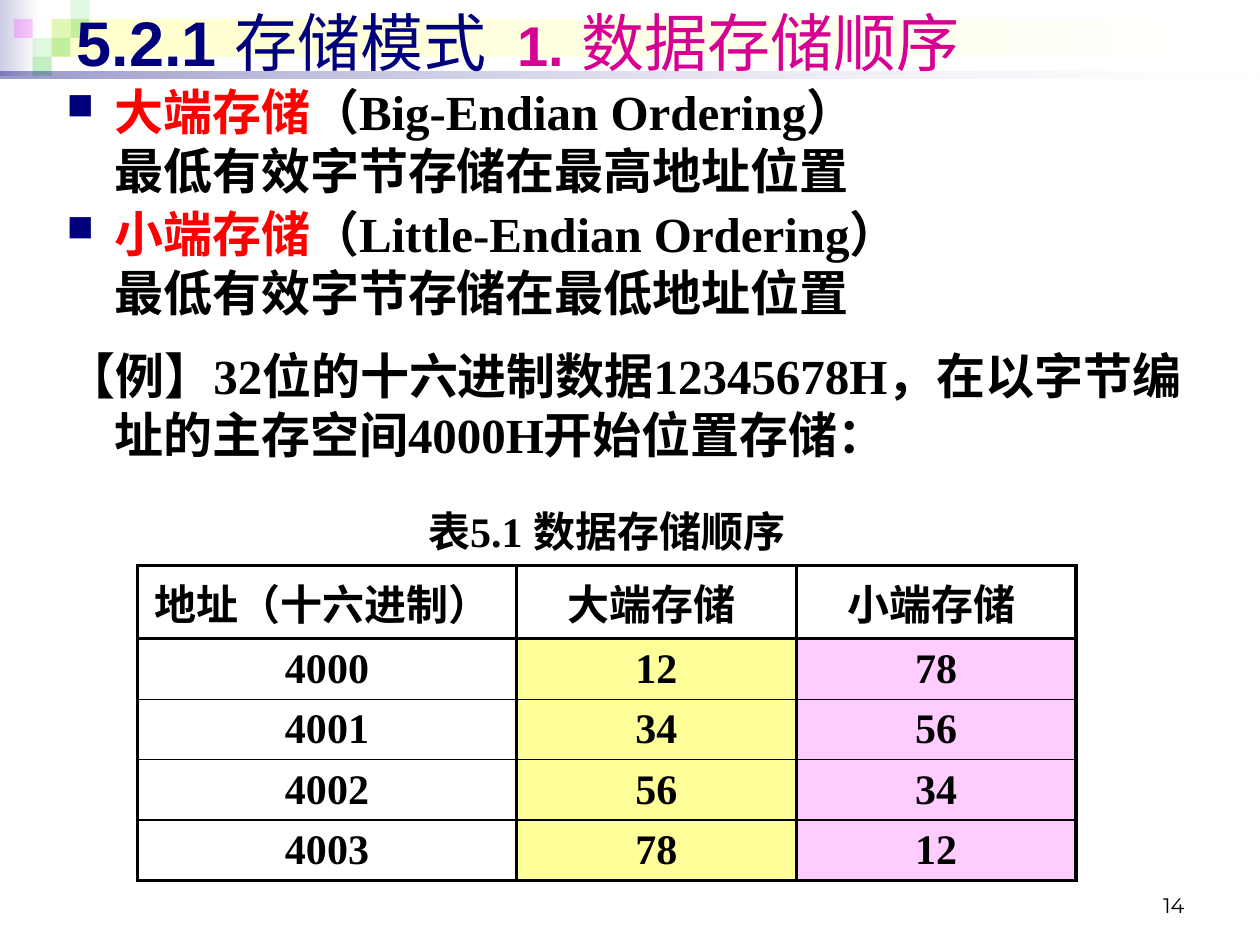
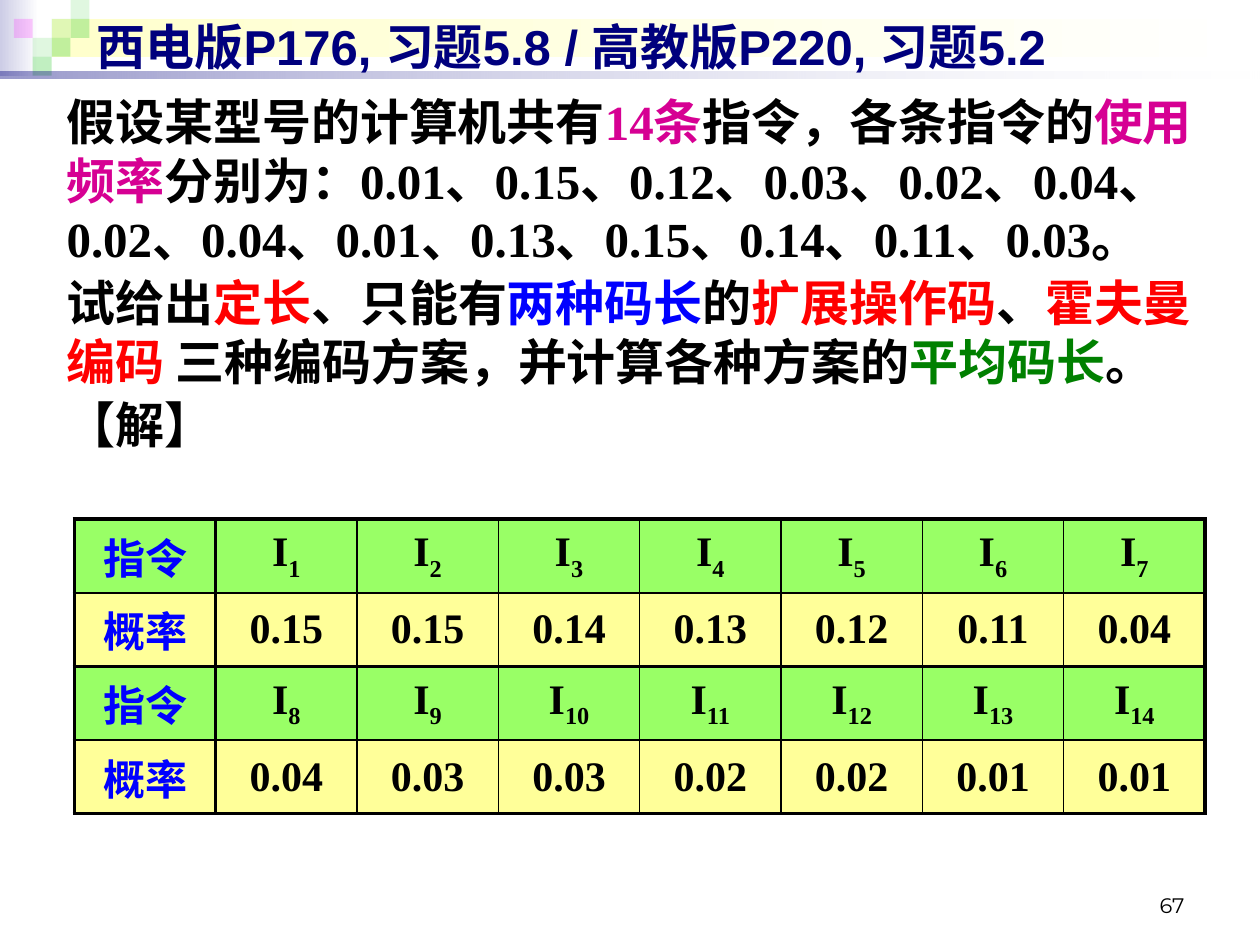
from lxml import etree
from pptx import Presentation, util as u
from pptx.dml.color import RGBColor
from pptx.enum import shapes, text
from pptx.oxml.ns import qn

COLUMNS, ROWS = 100, 75
NAVY, BLACK, WHITE = "00007D", "000000", "FFFFFF"
RED, BLUE, MAGENTA, DARK_GREEN = "FF0000", "0000FF", "D60093", "008000"
YELLOW, PINK, LIME = "FFFF99", "FFCCFF", "99FF66"
GREEN, FUCHSIA = "33CC33", "FF00FF"
THICK, THIN = 2.25, 1
SUBSCRIPT = "-25000"
TITLE = {"name": "Arial", "size": u.Pt(36), "bold": True}
SMALL_TITLE = TITLE | {"size": u.Pt(28)}
BODY = {"name": "Times New Roman", "size": u.Pt(28), "bold": True}
CELL = BODY | {"size": u.Pt(24)}
NUMBER = {"name": "Montserrat", "size": u.Pt(12), "bold": False}
LINE = {"line_spacing": u.Pt(33.5), "space_before": u.Pt(2.8)}
EXAMPLE_LINE = LINE | {"space_before": u.Pt(14)}
MOSAIC = [(2, 1, GREEN, 15), (3, 0, GREEN, 15), (3, 1, GREEN, 30),
          (1, 2, GREEN, 15), (0, 1, FUCHSIA, 20), (2, 2, GREEN, 30),
          (1, 3, GREEN, 30)]


def color(value):
    return RGBColor.from_string(value)


def apply(target, values):
    for name, value in values.items():
        setattr(target, name, value)


def add_xml(parent, tag, **attributes):
    return etree.SubElement(parent, qn(tag), attributes)


class Deck:
    def __init__(self):
        self.presentation = Presentation()
        apply(self.presentation, {"slide_width": u.Inches(10), "slide_height": u.Inches(7.5)})
        self.slide = None

    def across(self, columns):
        return round(self.presentation.slide_width * columns / COLUMNS)

    def down(self, rows):
        return round(self.presentation.slide_height * rows / ROWS)

    def place(self, left, top, width, height):
        return self.across(left), self.down(top), self.across(width), self.down(height)

    def new_slide(self, number):
        self.slide = self.presentation.slides.add_slide(self.presentation.slide_layouts[6])
        fill = self.slide.background.fill
        fill.solid()
        fill.fore_color.rgb = color(WHITE)
        self.rectangle((0, 0, 3.1, 6), ["CDCDE6", WHITE])
        self.rectangle((4.1, 1.5, 95.5, 3), ["FFFFCC", WHITE])
        for column, row, shade, opacity in MOSAIC:
            self.rectangle((1.1 + 1.5 * column, 1.5 * row, 1.5, 1.5), [shade], [opacity])
        self.rectangle((0, 5.7, 100, 0.5), [NAVY, WHITE], [40, 10])
        frame = self.text_box((71.7, 68.3, 23.3, 5), text.MSO_ANCHOR.BOTTOM)
        self.add_runs(frame.paragraphs[0], [(str(number), BLACK)], NUMBER,
                      {"alignment": text.PP_ALIGN.RIGHT})

    def rectangle(self, box, shades, opacities=()):
        shape = self.slide.shapes.add_shape(shapes.MSO_SHAPE.RECTANGLE, *self.place(*box))
        shape.shadow.inherit = False
        shape.line.fill.background()
        if len(shades) == 1:
            shape.fill.solid()
            shape.fill.fore_color.rgb = color(shades[0])
        else:
            shape.fill.gradient()
            shape.fill.gradient_angle = 0
            for stop, shade in zip(shape.fill.gradient_stops, shades):
                stop.color.rgb = color(shade)
        nodes = list(shape._element.iter(qn("a:srgbClr")))
        for node, opacity in zip(nodes, opacities):
            add_xml(node, "a:alpha", val=str(opacity * 1000))

    def text_box(self, box, anchor=text.MSO_ANCHOR.TOP):
        frame = self.slide.shapes.add_textbox(*self.place(*box)).text_frame
        apply(frame, {"word_wrap": True, "vertical_anchor": anchor})
        return frame

    def add_runs(self, paragraph, runs, font, layout):
        apply(paragraph, layout)
        for content, shade, *changes in runs:
            for index, line in enumerate(content.split("\n")):
                if index:
                    paragraph.add_line_break()
                run = paragraph.add_run()
                run.text = line
                apply(run.font, font)
                run.font.color.rgb = color(shade)
                for change in changes:
                    if change == SUBSCRIPT:
                        run.font._element.set("baseline", SUBSCRIPT)
                    else:
                        apply(run.font, change)

    def title(self, box, runs, font):
        frame = self.text_box(box, text.MSO_ANCHOR.MIDDLE)
        self.add_runs(frame.paragraphs[0], runs, font, {})

    def body(self, box, paragraphs, hanging=0):
        frame = self.text_box(box)
        for index, (runs, layout, bulleted) in enumerate(paragraphs):
            paragraph = frame.add_paragraph() if index else frame.paragraphs[0]
            self.add_runs(paragraph, runs, BODY, layout)
            properties = paragraph._p.get_or_add_pPr()
            properties.set("marL", str(self.across(hanging)))
            properties.set("indent", str(-self.across(hanging)))
            if bulleted:
                add_xml(add_xml(properties, "a:buClr"), "a:srgbClr", val=NAVY)
                add_xml(properties, "a:buSzPct", val="75000")
                add_xml(properties, "a:buChar", char="■")

    def border(self, cell, widths):
        properties = cell._tc.get_or_add_tcPr()
        for index, (side, width) in enumerate(zip("LRTB", widths)):
            line = etree.Element(qn(f"a:ln{side}"), w=str(int(u.Pt(width))))
            if width:
                add_xml(add_xml(line, "a:solidFill"), "a:srgbClr", val=BLACK)
            else:
                add_xml(line, "a:noFill")
            properties.insert(index, line)

    def table(self, corner, widths, heights, rows, fills, horizontals, verticals, caption=False):
        box = (*corner, sum(widths), sum(heights))
        table = self.slide.shapes.add_table(len(rows), len(widths), *self.place(*box)).table
        apply(table, {"first_row": False, "horz_banding": False})
        for column, width in zip(table.columns, widths):
            column.width = self.across(width)
        for row, height in zip(table.rows, heights):
            row.height = self.down(height)
        for r, row in enumerate(rows):
            captioned = caption and r == 0
            edges = [0] * (len(widths) + 1) if captioned else verticals
            for c in range(len(widths)):
                cell = table.cell(r, c)
                apply(cell, {"vertical_anchor": text.MSO_ANCHOR.MIDDLE,
                             "margin_top": self.down(0.4), "margin_bottom": self.down(0.4)})
                if fills[r][c]:
                    cell.fill.solid()
                    cell.fill.fore_color.rgb = color(fills[r][c])
                else:
                    cell.fill.background()
                self.border(cell, (edges[c], edges[c + 1], horizontals[r], horizontals[r + 1]))
                if c < len(row):
                    self.add_runs(cell.text_frame.paragraphs[0], row[c], CELL,
                                  {"alignment": text.PP_ALIGN.CENTER})
            if captioned:
                table.cell(0, 0).merge(table.cell(0, len(widths) - 1))


def storage_order(deck):
    deck.new_slide(14)
    regular = {"bold": False}
    deck.title((5.1, -0.3, 93.7, 7.1), [
        ("5.2.1 ", NAVY), ("存储模式\t", NAVY, regular),
        ("1.", MAGENTA, {"size": u.Pt(32)}), (" 数据存储顺序", MAGENTA, regular)], TITLE)
    deck.body((4.3, 6, 92.9, 66.9), [
        ([("大端存储", RED),
          ("（Big-Endian Ordering）\n最低有效字节存储在最高地址位置", BLACK)], LINE, True),
        ([("小端存储", RED),
          ("（Little-Endian Ordering）\n最低有效字节存储在最低地址位置", BLACK)], LINE, True),
        ([("【例】32位的十六进制数据12345678H，在以字节编址的主存空间4000H开始位置存储：", BLACK)],
         EXAMPLE_LINE, False)], hanging=3.8)
    data = ["12", "34", "56", "78"]
    words = [["表5.1 数据存储顺序"], ["地址（十六进制） ", "大端存储 ", "小端存储 "]]
    words += [[str(4000 + i), big, little]
              for i, (big, little) in enumerate(zip(data, reversed(data)))]
    rows = [[[(word, BLACK)] for word in row] for row in words]
    deck.table((10.9, 39.1), [30.1, 22.2, 22.2], [5.8] * 2 + [4.7] * 4, rows,
               [[None] * 3] * 2 + [[None, YELLOW, PINK]] * 4,
               [0, THICK, THICK, THIN, THIN, THIN, THICK], [THICK] * 4, caption=True)


def opcode_exercise(deck):
    deck.new_slide(67)
    deck.title((6.7, 0.5, 91.4, 6.3),
               [("西电版P176, 习题5.8 / 高教版P220, 习题5.2", NAVY)], SMALL_TITLE)
    deck.body((4.3, 6.8, 92.9, 33.9), [
        ([("假设某型号的计算机共有", BLACK), ("14条", MAGENTA), ("指令，各条指令的", BLACK),
          ("使用频率", MAGENTA),
          ("分别为：0.01、0.15、0.12、0.03、0.02、0.04、0.02、0.04、0.01、0.13、"
           "0.15、0.14、0.11、0.03。", BLACK)], LINE, False),
        ([("试给出", BLACK), ("定长", RED), ("、只能有", BLACK), ("两种码长", BLUE), ("的", BLACK),
          ("扩展操作码", RED), ("、", BLACK), ("霍夫曼编码", RED),
          (" 三种编码方案，并计算各种方案的", BLACK), ("平均码长", DARK_GREEN), ("。", BLACK)],
         LINE, False),
        ([("【解】", BLACK)], LINE, False)])
    chances = ["0.15", "0.15", "0.14", "0.13", "0.12", "0.11", "0.04",
               "0.04", "0.03", "0.03", "0.02", "0.02", "0.01", "0.01"]
    rows = []
    for start in (0, 7):
        rows.append([[("指令", BLUE)]] + [
            [("I", BLACK), (str(n), BLACK, SUBSCRIPT)] for n in range(start + 1, start + 8)])
        rows.append([[("概率", BLUE)]] + [[(chance, BLACK)] for chance in chances[start:start + 7]])
    deck.table((5.9, 41.2), [11.22] * 8, [5.85] * 4, rows,
               [[LIME] * 8, [YELLOW] * 8] * 2,
               [THICK, THIN, THICK, THIN, THICK], [THICK] * 2 + [THIN] * 6 + [THICK])


def main():
    deck = Deck()
    storage_order(deck)
    opcode_exercise(deck)
    deck.presentation.save("out.pptx")


if __name__ == "__main__":
    main()
